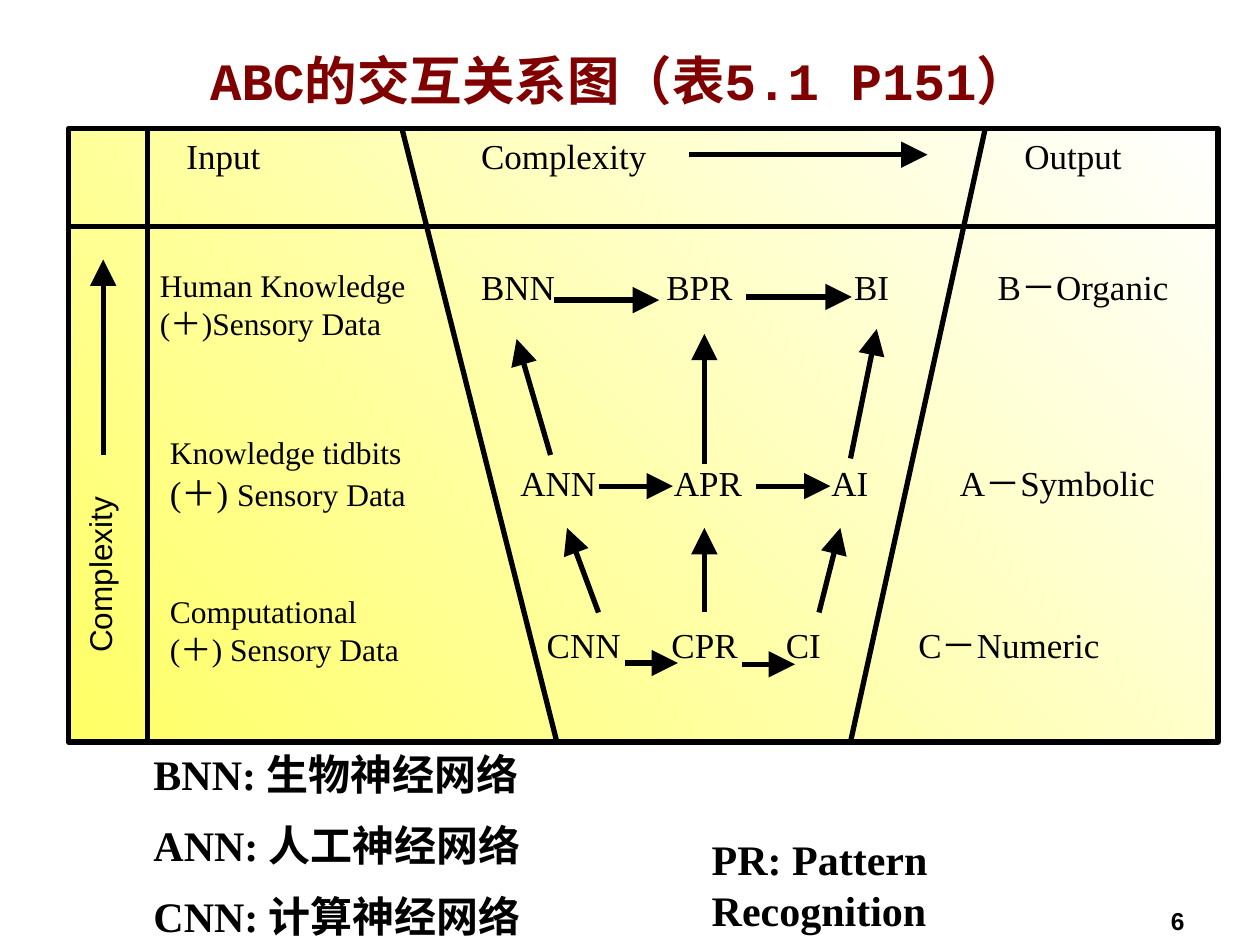
from dataclasses import dataclass

import pptx
import pptx.dml.color
import pptx.enum.shapes
import pptx.enum.text
import pptx.oxml
import pptx.oxml.ns
import pptx.util

Pt = pptx.util.Pt
ALIGN = pptx.enum.text.PP_ALIGN
ANCHOR = pptx.enum.text.MSO_ANCHOR


@dataclass(frozen=True)
class Theme:
    ink: str = "000000"
    title_color: str = "800000"
    panel_start: str = "FFFF66"
    panel_end: str = "FFFFFF"
    serif: str = "Times New Roman"
    sans: str = "Arial"
    mono: str = "Courier New"
    title_size: int = 30
    legend_size: int = 24
    label_size: int = 20
    input_size: int = 18
    number_size: int = 14
    line_width: int = 3


class SlideBuilder:
    def __init__(self, slide, theme):
        self.slide = slide
        self.theme = theme

    def color(self, value):
        return pptx.dml.color.RGBColor.from_string(value)

    def panel(self, left, top, width, height):
        panel = self.slide.shapes.add_shape(
            pptx.enum.shapes.MSO_SHAPE.RECTANGLE, Pt(left), Pt(top), Pt(width), Pt(height))
        panel.shadow.inherit = False
        panel.fill.gradient()
        panel.fill.gradient_angle = 45
        ends = (self.theme.panel_start, self.theme.panel_end)
        for position, (stop, value) in enumerate(zip(panel.fill.gradient_stops, ends)):
            stop.position = position
            stop.color.rgb = self.color(value)
        panel.line.color.rgb = self.color(self.theme.ink)
        panel.line.width = Pt(self.theme.line_width)

    def line(self, x1, y1, x2, y2, arrow=False):
        line = self.slide.shapes.add_connector(
            pptx.enum.shapes.MSO_CONNECTOR.STRAIGHT, Pt(x1), Pt(y1), Pt(x2), Pt(y2))
        line.line.color.rgb = self.color(self.theme.ink)
        line.line.width = Pt(self.theme.line_width)
        properties = line._element.spPr
        if arrow:
            head = pptx.oxml.parse_xml(
                f'<a:tailEnd {pptx.oxml.ns.nsdecls("a")} type="triangle" w="lg" len="lg"/>')
            properties.find(pptx.oxml.ns.qn("a:ln")).append(head)
        properties.append(pptx.oxml.parse_xml(
            f'<a:effectLst {pptx.oxml.ns.nsdecls("a")}/>'))

    def arrow(self, x1, y1, x2, y2):
        self.line(x1, y1, x2, y2, arrow=True)

    def text(self, lines, left, top, width, height, size=None, font=None, color=None,
             bold=False, align=ALIGN.JUSTIFY, anchor=ANCHOR.TOP, gap=0, vertical=None):
        """A line is a string, or a list of (words, size) pairs."""
        size = size or self.theme.label_size
        box = self.slide.shapes.add_textbox(Pt(left), Pt(top), Pt(width), Pt(height))
        frame = box.text_frame
        frame.word_wrap = True
        frame.vertical_anchor = anchor
        if vertical:
            frame._txBody.bodyPr.set("vert", vertical)
        for index, line in enumerate(lines):
            paragraph = frame.add_paragraph() if index else frame.paragraphs[0]
            paragraph.alignment = align
            if index and gap:
                paragraph.space_before = Pt(gap)
            for words, run_size in [(line, size)] if isinstance(line, str) else line:
                run = paragraph.add_run()
                run.text = words
                run.font.size = Pt(run_size)
                run.font.name = font or self.theme.serif
                run.font.bold = bold
                run.font.color.rgb = self.color(color or self.theme.ink)


def main():
    theme = Theme()
    deck = pptx.Presentation()
    deck.slide_width, deck.slide_height = Pt(720), Pt(540)
    builder = SlideBuilder(deck.slides.add_slide(deck.slide_layouts[6]), theme)

    # Title and slide number
    builder.text([" ABC的交互关系图（表5.1 P151）"], 95, 9.4, 588, 72, theme.title_size,
                 theme.mono, theme.title_color, bold=True, align=ALIGN.LEFT,
                 anchor=ANCHOR.MIDDLE)
    builder.text(["6"], 427.7, 514, 256.3, 17.3, theme.number_size, theme.sans,
                 bold=True, align=ALIGN.RIGHT)

    # Panel with its dividers and the slanted sides of the funnel
    left, top, right, bottom = 39, 73.5, 696, 424
    header_bottom, axis_right = 129.5, 84.3
    builder.panel(left, top, right - left, bottom - top)
    builder.line(axis_right, top, axis_right, bottom)
    builder.line(left, header_bottom, right, header_bottom)
    builder.line(229.7, top, 318.2, bottom)
    builder.line(563, top, 486, bottom)

    # Header, networks, recognition, intelligence and output: (words, left, width)
    label_rows = {
        top: [("Input", 99.4, 75.6), ("Complexity", 267.8, 113.8), ("Output", 578.2, 85.7)],
        148.3: [("BNN", 267.8, 75.6), ("BPR", 373.7, 68.4), ("BI", 481, 67),
                ("B－Organic", 563, 121)],
        260: [("ANN", 290.2, 75.6), ("APR", 378, 66.2), ("AI", 468, 41),
              ("A－Symbolic", 541.4, 130.3)],
        352.8: [("CNN", 305.3, 75.6), ("CPR", 376.6, 68.4), ("CI", 442, 60.5),
                ("C－Numeric", 517.7, 142.6)],
    }
    for row_top, labels in label_rows.items():
        for words, label_left, width in labels:
            builder.text([words], label_left, row_top, width, 56)

    # Inputs of the three levels
    small, large = theme.input_size, theme.label_size
    inputs = [
        (["Human Knowledge", "(＋)Sensory Data"], 84.3, 148.3, 180),
        (["Knowledge tidbits", [("(＋) ", large), ("Sensory Data", small)]], 90, 244, 172),
        (["Computational", "(＋) Sensory Data"], 90, 334.8, 170.6),
    ]
    for lines, input_left, input_top, width in inputs:
        builder.text(lines, input_left, input_top, width, 93, small)

    # Complexity axes
    builder.arrow(393.8, 88.4, 530, 88.4)
    builder.arrow(59, 260, 59, 148.3)
    builder.text(["Complexity"], 42.5, 268.6, 45.4, 111.6, small, theme.sans,
                 vertical="vert270")

    # Arrows along each level: (from, to, height)
    for start, end, y in [(316.8, 376.6, 171.5), (426.2, 486.7, 169.7),
                          (342, 384.5, 277.8), (432, 474.5, 277.8),
                          (357, 387.4, 378.9), (424, 454.3, 379.6)]:
        builder.arrow(start, y, end, y)

    # Arrows up to the next level
    for rise in [(342, 350, 324, 301.7), (402.5, 350, 402.5, 301.7),
                 (468, 350, 480.2, 301.7), (314.6, 260, 295.2, 193.7),
                 (402.5, 265, 402.5, 190.8), (486, 262, 501, 188)]:
        builder.arrow(*rise)

    # Legend
    builder.text(["BNN: 生物神经网络", "ANN: 人工神经网络", "CNN: 计算神经网络"],
                 80.6, 424, 234, 124, theme.legend_size, bold=True, align=ALIGN.LEFT, gap=12)
    builder.text(["PR: Pattern Recognition"], 399.6, 473, 250, 37, theme.legend_size,
                 bold=True, align=ALIGN.LEFT)

    deck.save("out.pptx")


if __name__ == "__main__":
    main()
